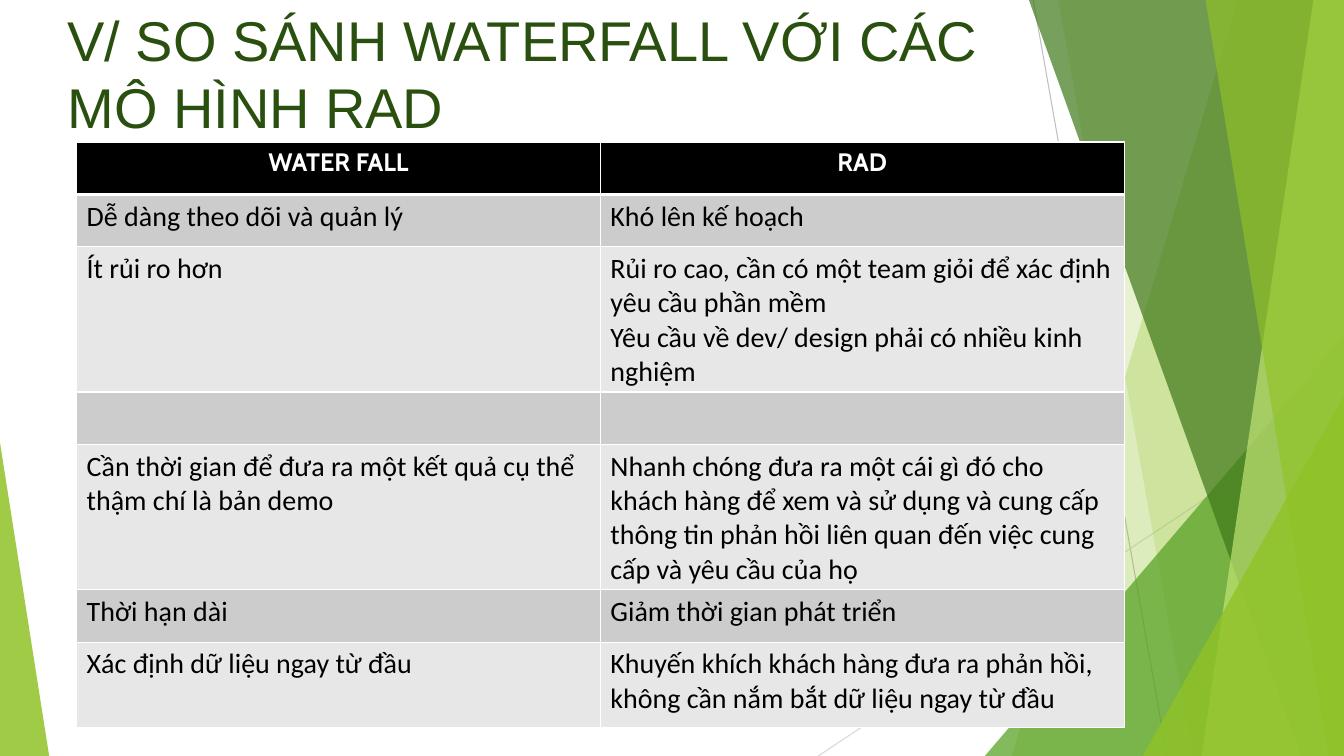
from lxml import etree
from pptx import Presentation
from pptx.dml.color import RGBColor
from pptx.enum.shapes import MSO_CONNECTOR, MSO_SHAPE
from pptx.enum.text import MSO_ANCHOR, MSO_AUTO_SIZE, PP_ALIGN
from pptx.oxml.ns import qn
from pptx.util import Cm, Pt

STRAIGHT = MSO_CONNECTOR.STRAIGHT
TRIANGLE = MSO_SHAPE.ISOSCELES_TRIANGLE
LEFT, CENTER = PP_ALIGN.LEFT, PP_ALIGN.CENTER
TITLE_ONLY = 5

# Content
TITLE = "V/ SO SÁNH WATERFALL VỚI CÁC MÔ HÌNH RAD"
ROWS = [
    ("WATER FALL", "RAD"),
    ("Dễ dàng theo dõi và quản lý", "Khó lên kế hoạch"),
    ("Ít rủi ro hơn",
     "Rủi ro cao, cần có một team giỏi để xác định yêu cầu phần mềm\n"
     "Yêu cầu về dev/ design phải có nhiều kinh nghiệm"),
    ("", ""),
    ("Cần thời gian để đưa ra một kết quả cụ thể thậm chí là bản demo",
     "Nhanh chóng đưa ra một cái gì đó cho khách hàng để xem và sử dụng và cung cấp "
     "thông tin phản hồi liên quan đến việc cung cấp và yêu cầu của họ"),
    ("Thời hạn dài", "Giảm thời gian phát triển"),
    ("Xác định dữ liệu ngay từ đầu",
     "Khuyến khích khách hàng đưa ra phản hồi, không cần nắm bắt dữ liệu ngay từ đầu"),
]

# Geometry in centimetres
WIDTH, HEIGHT = 33.87, 19.05
TABLE_LEFT, TABLE_TOP, COLUMN_WIDTH = 1.93, 3.58, 13.2
ROW_HEIGHTS = [1.32, 1.32, 3.66, 1.32, 3.66, 1.32, 2.16]

# Decoration: (start x, start y, end x, end y, colour)
LINES = [
    (26.04, 0, 29.41, HEIGHT, "BFBFBF"),
    (WIDTH, 10.24, 20.62, HEIGHT, "D9D9D9"),
]
# Facets reach the right edge: (top x, bottom x, colour, opacity %)
# Triangles stand on the bottom edge: (left, top, width, apex, colour, opacity %)
DECORATION = [
    ("facet", 31.19, 25.5, "90C226", 30),
    ("facet", 26.67, 30.05, "90C226", 20),
    ("triangle", 24.82, 8.46, 9.05, 1, "54A021", 72),
    ("facet", 25.93, 32.79, "3F7819", 70),
    ("facet", 33.1, 30.28, "C0E474", 70),
    ("facet", 30.38, 33.48, "90C226", 65),
    ("triangle", 28.8, 9.98, 5.07, 1, "90C226", 80),
    ("triangle", 0, 11.15, 1.24, 0, "90C226", 85),
]


def color(value):
    return RGBColor.from_string(value)


def style_text(paragraph, font_name, size, font_color, bold, alignment):
    paragraph.alignment = alignment
    for run in paragraph.runs:
        run.font.name = font_name
        run.font.size = Pt(size)
        run.font.bold = bold
        run.font.color.rgb = color(font_color)


def add_line(slide, x1, y1, x2, y2, line_color):
    line = slide.shapes.add_connector(STRAIGHT, Cm(x1), Cm(y1), Cm(x2), Cm(y2))
    line.line.color.rgb = color(line_color)
    line.line.width = Pt(0.75)
    properties = line.element.find(qn("p:spPr"))
    etree.SubElement(properties, qn("a:effectLst"))


def finish_shape(shape, fill_color, opacity):
    shape.shadow.inherit = False
    shape.line.fill.background()
    shape.fill.solid()
    shape.fill.fore_color.rgb = color(fill_color)
    fill = shape.element.find(".//" + qn("a:solidFill") + "/" + qn("a:srgbClr"))
    etree.SubElement(fill, qn("a:alpha"), val=str(opacity * 1000))
    return shape


def add_facet(slide, top_x, bottom_x, fill_color, opacity):
    builder = slide.shapes.build_freeform(Cm(top_x), 0)
    corners = [(WIDTH, 0), (WIDTH, HEIGHT), (bottom_x, HEIGHT)]
    builder.add_line_segments([(Cm(x), Cm(y)) for x, y in corners], close=True)
    return finish_shape(builder.convert_to_shape(), fill_color, opacity)


def add_triangle(slide, left, top, width, apex, fill_color, opacity):
    shape = slide.shapes.add_shape(
        TRIANGLE, Cm(left), Cm(top), Cm(width), Cm(HEIGHT - top))
    shape.adjustments[0] = apex
    return finish_shape(shape, fill_color, opacity)


def set_borders(cell, top, bottom):
    properties = cell._tc.get_or_add_tcPr()
    for side, points in (("lnL", 1), ("lnR", 1), ("lnT", top), ("lnB", bottom)):
        border = etree.SubElement(properties, qn("a:" + side), w=str(Pt(points)))
        fill = etree.SubElement(border, qn("a:solidFill"))
        etree.SubElement(fill, qn("a:srgbClr"), val="FFFFFF")


def add_comparison(slide):
    table = slide.shapes.add_table(
        len(ROWS), 2, Cm(TABLE_LEFT), Cm(TABLE_TOP),
        Cm(2 * COLUMN_WIDTH), Cm(sum(ROW_HEIGHTS))).table
    for column in table.columns:
        column.width = Cm(COLUMN_WIDTH)
    for index, texts in enumerate(ROWS):
        table.rows[index].height = Cm(ROW_HEIGHTS[index])
        if index == 0:
            fill_color, text_style = "000000", ("Cabin", 18, "FFFFFF", True, CENTER)
        else:
            fill_color = "CCCCCC" if index % 2 else "E7E7E7"
            text_style = ("Calibri", 20, "000000", False, LEFT)
        for cell, text in zip(table.rows[index].cells, texts):
            set_borders(cell, 3 if index == 1 else 1, 3 if index == 0 else 1)
            cell.fill.solid()
            cell.fill.fore_color.rgb = color(fill_color)
            cell.text_frame.text = text
            for paragraph in cell.text_frame.paragraphs:
                style_text(paragraph, *text_style)


def main():
    presentation = Presentation()
    presentation.slide_width, presentation.slide_height = Cm(WIDTH), Cm(HEIGHT)
    slide = presentation.slides.add_slide(presentation.slide_layouts[TITLE_ONLY])

    # Background decoration
    for line in LINES:
        add_line(slide, *line)
    builders = {"facet": add_facet, "triangle": add_triangle}
    for kind, *values in DECORATION:
        last_shape = builders[kind](slide, *values)

    # Title, in front of the decoration
    title = slide.shapes.title
    last_shape.element.addnext(title.element)
    title.left, title.top, title.width, title.height = Cm(1.45), 0, Cm(23.88), Cm(3.68)
    frame = title.text_frame
    frame.text = TITLE
    frame.word_wrap = True
    frame.auto_size = MSO_AUTO_SIZE.SHAPE_TO_FIT_TEXT
    frame.vertical_anchor = MSO_ANCHOR.TOP
    style_text(frame.paragraphs[0], "Arial", 40, "2A5010", False, LEFT)

    # Comparison table
    add_comparison(slide)
    presentation.save("out.pptx")


if __name__ == "__main__":
    main()
